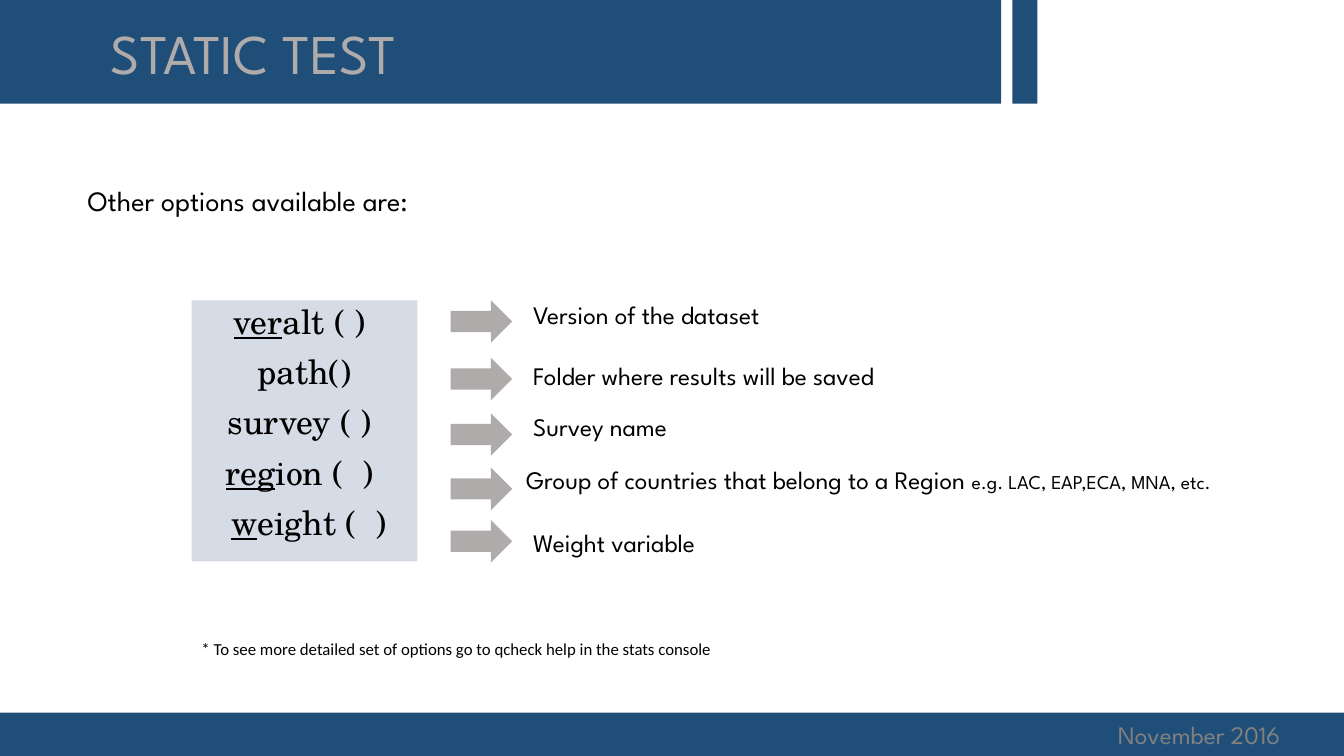
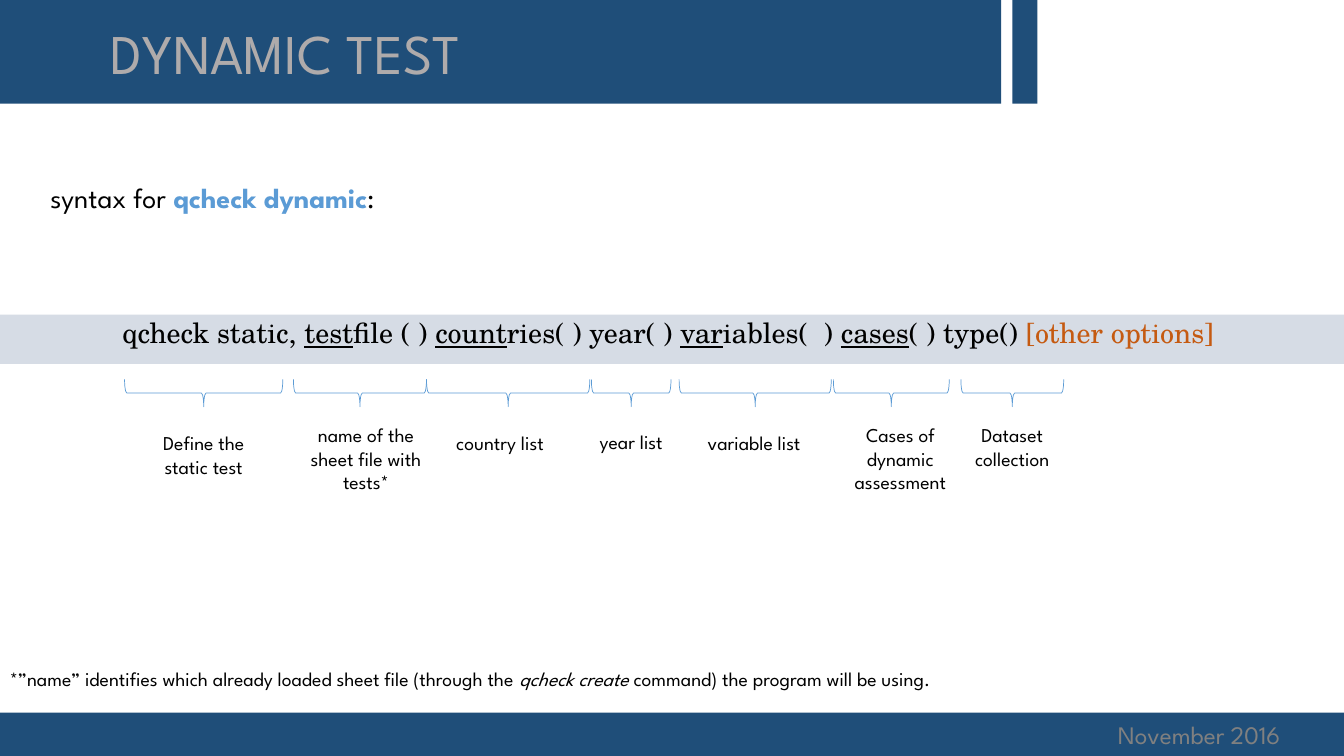
from dataclasses import dataclass

from pptx import Presentation
from pptx import util as u
from pptx.dml import color
from pptx.enum import shapes, text


@dataclass(frozen=True)
class Theme:
    navy: str = "1F4E79"
    pale: str = "D6DCE5"
    grey: str = "AFABAB"
    dim: str = "808080"
    blue: str = "5B9BD5"
    rust: str = "C55A11"
    ink: str = "000000"
    sans: str = "League Spartan"
    serif: str = "TeX Gyre Schola"
    plain: str = "Calibri"
    title: int = 40
    code: int = 24
    lead: int = 20
    body: int = 18
    small: int = 14
    note: int = 12


T = Theme()
KIND = shapes.MSO_SHAPE
WIDE, HIGH = 13.33, 7.5
UNDER = {"line": True}


def rgb(tone):
    return color.RGBColor.from_string(tone)


def put(frame, *paras, size=T.body, font=T.sans, tone=T.ink, align="LEFT", lead=None, gap=0):
    frame.word_wrap = True
    frame.vertical_anchor = text.MSO_ANCHOR.TOP
    for i, runs in enumerate(paras):
        para = frame.paragraphs[0] if i == 0 else frame.add_paragraph()
        para.alignment = getattr(text.PP_ALIGN, align)
        para.space_before = u.Pt(gap if i else 0)
        if lead:
            para.line_spacing = lead
        for part in [runs] if isinstance(runs, str) else runs:
            words, look = (part, {}) if isinstance(part, str) else part
            run = para.add_run()
            run.text = words
            run.font.name = font
            run.font.size = u.Pt(look.get("size", size))
            run.font.color.rgb = rgb(look.get("tone", tone))
            run.font.bold = look.get("bold")
            run.font.italic = look.get("slant")
            run.font.underline = look.get("line")


def write(slide, box, *paras, **fmt):
    area = slide.shapes.add_textbox(*map(u.Inches, box))
    put(area.text_frame, *paras, **fmt)


def draw(slide, kind, box, fill=None, edge=None):
    shape = slide.shapes.add_shape(kind, *map(u.Inches, box))
    shape.shadow.inherit = False
    if fill:
        shape.fill.solid()
        shape.fill.fore_color.rgb = rgb(fill)
    else:
        shape.fill.background()
    if edge:
        shape.line.color.rgb = rgb(edge)
        shape.line.width = u.Pt(0.5)
    else:
        shape.line.fill.background()
    return shape


def base(deck, title):
    slide = deck.slides.add_slide(deck.slide_layouts[6])
    for box in ((0, 0, 9.93, 1.03), (10.04, 0, 0.25, 1.03), (0, 7.07, WIDE, 0.43)):
        draw(slide, KIND.RECTANGLE, box, T.navy)
    write(slide, (10.99, 7.09, 2.14, 0.4), "November 2016", tone=T.dim)
    write(slide, (1, 0.13, 7.41, 0.77), title, size=T.title, tone=T.grey)
    return slide


def code(slide, box, *lines, size):
    panel = draw(slide, KIND.RECTANGLE, box, T.pale)
    put(panel.text_frame, *lines, size=size, font=T.serif, align="CENTER", lead=0.9, gap=10)


def choices(slide, box, rows):
    x, y, w, h = box
    code(slide, (x, y, 2.24, h), *[row[0] for row in rows], size=T.code)
    for _, drop, shift, rise, words in rows:
        draw(slide, KIND.RIGHT_ARROW, (x + 2.57, y + drop, 0.61, 0.42), T.grey)
        left = 3.29 + shift
        write(slide, (x + left, y + rise, w - left, 0.4), words)


def syntax(slide, box, line, parts):
    x, y, w, h = box
    code(slide, (x, y, w, 0.49), line, size=T.lead)
    deep = 0.27
    for mid, span, spot, wide, drop, words in parts:
        brace = draw(slide, KIND.RIGHT_BRACE,
                     (x + mid - deep / 2, y + 0.78 - span / 2, deep, span), edge=T.blue)
        brace.rotation = 90
        write(slide, (x + spot - wide / 2, y + drop, wide, h - drop), words,
              size=T.small, align="CENTER")


def static(deck):
    slide = base(deck, "STATIC TEST")
    write(slide, (0.77, 1.77, 4.01, 0.44), "Other options available are:", size=T.lead)
    choices(slide, (1.9, 2.98, 11.43, 2.59), [
        ([("ver", UNDER), "alt ( ) "], 0, 0, -0.06, "Version of the dataset"),
        ("path()", 0.57, 0, 0.55, "Folder where results will be saved"),
        ("survey ( ) ", 1.12, 0, 1.05, "Survey name"),
        ([("reg", UNDER), "ion (  ) "], 1.66, -0.07, 1.58,
         ["Group of countries that belong to a Region ",
          ("e.g. LAC, EAP,ECA, MNA, etc.", {"size": T.small})]),
        ([" ", ("w", UNDER), "eight (  )"], 2.18, 0, 2.2, "Weight variable"),
    ])
    write(slide, (1.9, 6.29, 5.8, 0.3),
          "* To see more detailed set of options go to qcheck help in the stats console",
          size=T.note, font=T.plain)


def dynamic(deck):
    slide = base(deck, "DYNAMIC TEST")
    write(slide, (0.4, 1.74, 3.75, 0.44),
          ["syntax for ", ("qcheck dynamic", {"tone": T.blue, "bold": True}), ":"], size=T.lead)
    line = ["qcheck static, ", ("test", UNDER), "file ( ) ", ("count", UNDER),
            "ries( ) year( ) ", ("var", UNDER), "iables(  ) ", ("cases", UNDER),
            "( ) type() ", ("[other options] ", {"tone": T.rust})]
    syntax(slide, (0, 3.12, WIDE, 1.84), line, [
        (2.02, 1.57, 2.02, 1.39, 1.11, "Define the static test"),
        (3.57, 1.32, 3.63, 1.51, 1.03, "name of the sheet file with tests*"),
        (5.04, 1.62, 4.96, 1.66, 1.11, "country list"),
        (6.26, 0.79, 6.26, 1.39, 1.1, "year list"),
        (7.49, 1.51, 7.48, 1.65, 1.11, "variable list"),
        (8.84, 1.15, 8.93, 1.39, 1.03, "Cases of dynamic assessment"),
        (10.04, 1.02, 10.04, 1.26, 1.03, "Dataset collection"),
    ])
    write(slide, (0, 6.57, 12.46, 0.34),
          ["*”name” identifies which already loaded sheet file (through the ",
           ("qcheck create ", {"slant": True}), "command) the program will be using."],
          size=T.small)


def main():
    deck = Presentation()
    deck.slide_width, deck.slide_height = u.Inches(WIDE), u.Inches(HIGH)
    static(deck)
    dynamic(deck)
    deck.save("out.pptx")


if __name__ == "__main__":
    main()
